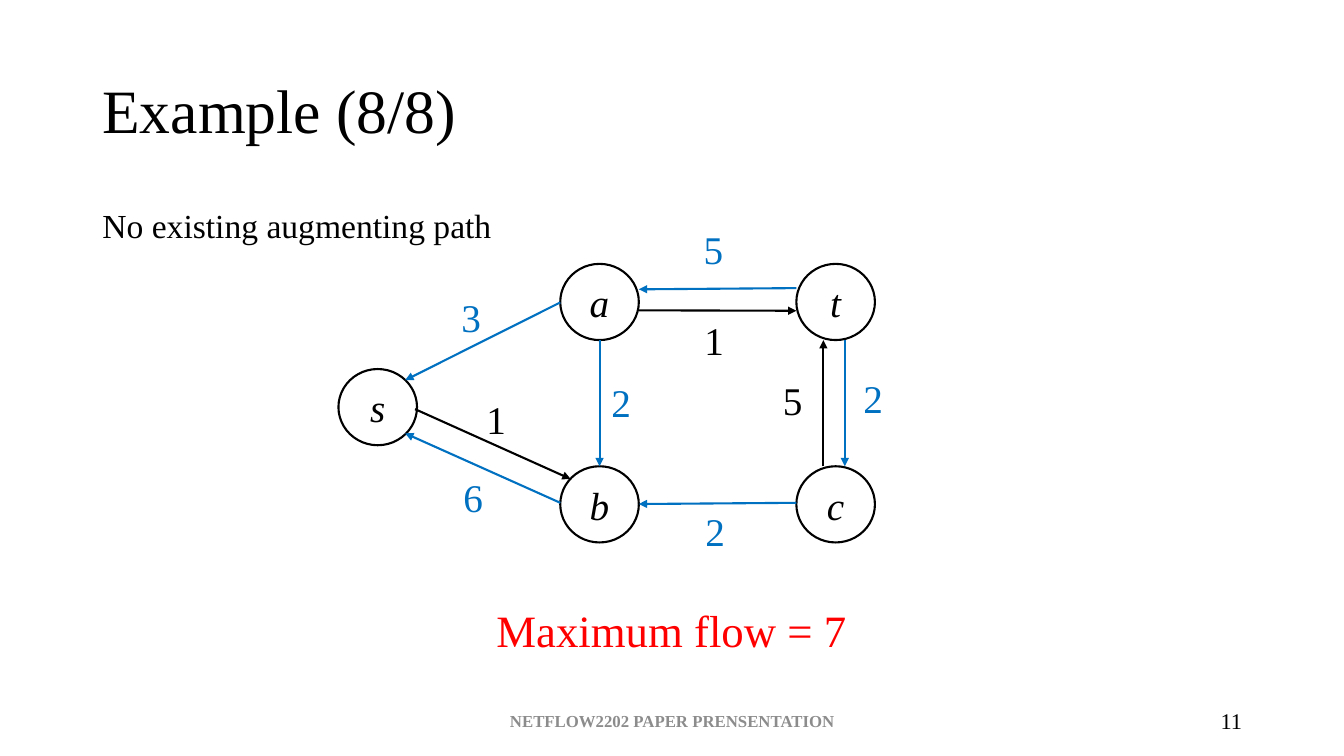
"""Build the last slide of the augmenting path example: a residual graph with its maximum flow."""
import pptx
import pptx.dml.color
import pptx.enum.shapes
import pptx.enum.text
import pptx.oxml
import pptx.oxml.ns
import pptx.util
from pptx.util import Cm

BLACK, BLUE, RED, GREY = "000000", "0070C0", "FF0000", "8C8C8C"
ALIGN = pptx.enum.text.PP_ALIGN
ANCHOR = pptx.enum.text.MSO_ANCHOR


def color(hex_code):
    return pptx.dml.color.RGBColor.from_string(hex_code)


class GraphSlide:
    font_name = "Times New Roman"
    line_width = pptx.util.Pt(1.5)
    node_width, node_height = 1.98, 1.92

    def __init__(self, slide):
        self.slide = slide

    def fill_frame(self, frame, words, size, ink=BLACK, align=ALIGN.LEFT,
                   anchor=ANCHOR.TOP, bold=False, italic=False):
        frame.word_wrap = True
        frame.vertical_anchor = anchor
        paragraph = frame.paragraphs[0]
        paragraph.text = words
        paragraph.alignment = align
        font = paragraph.font
        font.name, font.size = self.font_name, pptx.util.Pt(size)
        font.bold, font.italic = bold, italic
        font.color.rgb = color(ink)
        return paragraph

    def text(self, left, top, width, height, words, size, **style):
        box = self.slide.shapes.add_textbox(Cm(left), Cm(top), Cm(width), Cm(height))
        return self.fill_frame(box.text_frame, words, size, **style)

    def node(self, name, left, top):
        circle = self.slide.shapes.add_shape(
            pptx.enum.shapes.MSO_SHAPE.OVAL, Cm(left), Cm(top),
            Cm(self.node_width), Cm(self.node_height))
        circle.shadow.inherit = False
        circle.fill.background()
        circle.line.color.rgb = color(BLACK)
        circle.line.width = self.line_width
        self.fill_frame(circle.text_frame, name, 28, align=ALIGN.CENTER,
                        anchor=ANCHOR.MIDDLE, italic=True)

    def edge(self, start, end, capacity, label_at, ink):
        arrow = self.slide.shapes.add_connector(
            pptx.enum.shapes.MSO_CONNECTOR.STRAIGHT,
            *(Cm(value) for value in start + end))
        arrow.line.color.rgb = color(ink)
        arrow.line.width = self.line_width
        namespace = pptx.oxml.ns.nsdecls("a")
        properties = arrow.element.spPr
        properties.find(pptx.oxml.ns.qn("a:ln")).append(
            pptx.oxml.parse_xml(f'<a:tailEnd {namespace} type="triangle"/>'))
        properties.append(pptx.oxml.parse_xml(f"<a:effectLst {namespace}/>"))
        self.text(*label_at, 1.55, 1.45, capacity, 28, ink=ink)


def main():
    presentation = pptx.Presentation()
    presentation.slide_width, presentation.slide_height = Cm(33.87), Cm(19.05)
    graph = GraphSlide(presentation.slides.add_slide(presentation.slide_layouts[6]))

    title = graph.text(2.33, 1.01, 29.21, 3.68, "Example (8/8)", 44, anchor=ANCHOR.MIDDLE)
    title.line_spacing = 0.9
    graph.text(2.33, 5.05, 10.4, 1.27, "No existing augmenting path", 24)

    source_x, middle_x, right_x = 8.53, 14.12, 20.07
    upper_y, source_y, lower_y = 6.65, 9.3, 11.75
    nodes = [
        ("s", source_x, source_y),
        ("a", middle_x, upper_y),
        ("b", middle_x, lower_y),
        ("t", right_x, upper_y),
        ("c", right_x, lower_y),
    ]
    for name, left, top in nodes:
        graph.node(name, left, top)

    middle_edge = middle_x + graph.node_width
    middle_center = middle_x + graph.node_width / 2
    upper_edge = upper_y + graph.node_height
    edges = [
        ((middle_x, 7.62), (10.21, 9.58), "3", (11.38, 7.26), BLUE),
        ((10.46, 10.31), (14.38, 12.07), "1", (12.01, 9.83), BLACK),
        ((middle_x, 12.67), (10.21, 10.92), "6", (11.43, 11.81), BLUE),
        ((middle_center, upper_edge), (middle_center, lower_y), "2", (15.16, 9.4), BLUE),
        ((right_x, 7.26), (middle_edge, 7.29), "5", (17.48, 5.56), BLUE),
        ((middle_edge, 7.82), (right_x, 7.83), "1", (17.5, 7.85), BLACK),
        ((20.75, lower_y), (20.75, upper_edge), "5", (19.48, 9.37), BLACK),
        ((21.29, upper_edge), (21.29, lower_y), "2", (21.51, 9.32), BLUE),
        ((right_x, 12.67), (middle_edge, 12.7), "2", (17.53, 12.67), BLUE),
    ]
    for edge in edges:
        graph.edge(*edge)

    graph.text(9.04, 15.06, 15.77, 1.63, "Maximum flow = 7", 32, ink=RED, align=ALIGN.CENTER)
    graph.text(11.23, 17.65, 11.43, 1.02, "NETFLOW2202 PAPER PRENSENTATION", 12, ink=GREY,
               align=ALIGN.CENTER, anchor=ANCHOR.MIDDLE, bold=True)
    graph.text(23.93, 17.65, 7.62, 1.02, "11", 16, align=ALIGN.RIGHT, anchor=ANCHOR.MIDDLE)
    presentation.save("out.pptx")


if __name__ == "__main__":
    main()
